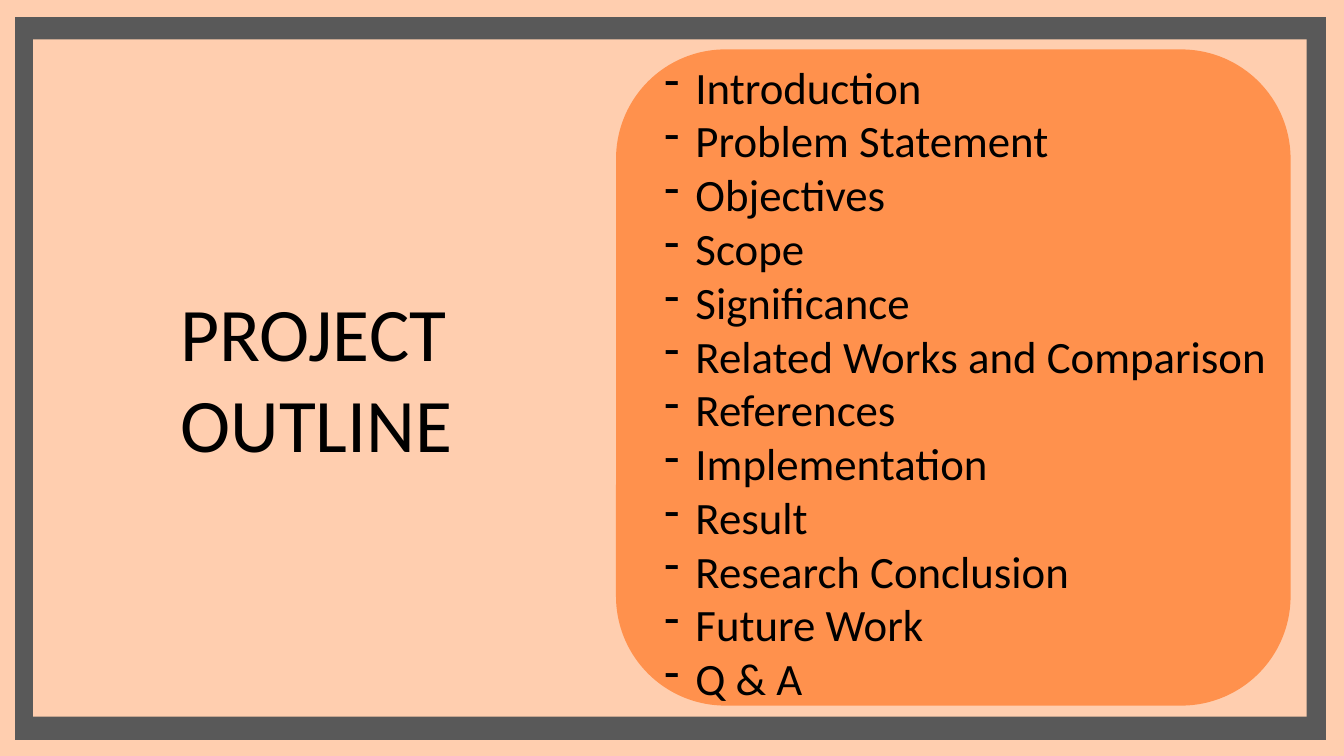
from dataclasses import dataclass

from pptx import Presentation
from pptx.dml.color import RGBColor
from pptx.enum.shapes import MSO_SHAPE
from pptx.enum.text import MSO_ANCHOR, MSO_AUTO_SIZE, PP_ALIGN
from pptx.oxml.ns import qn
from pptx.util import Inches, Pt


@dataclass(frozen=True)
class Theme:
    font: str = "Calibri"
    text: str = "000000"
    peach: str = "FFCEAF"
    frame: str = "595959"
    orange: str = "FF914D"
    title_size: int = 54
    list_size: int = 32


class OutlineSlide:
    def __init__(self, deck, theme):
        self.theme = theme
        self.page = deck.slides.add_slide(deck.slide_layouts[5])

    def panel(self, left, top, width, height, color, kind=MSO_SHAPE.RECTANGLE):
        panel = self.page.shapes.add_shape(
            kind, Inches(left), Inches(top), Inches(width), Inches(height))
        panel.shadow.inherit = False
        panel.fill.solid()
        panel.fill.fore_color.rgb = RGBColor.from_string(color)
        panel.line.fill.background()

    def set_text(self, box, lines, size):
        frame = box.text_frame
        frame.word_wrap = True
        frame.auto_size = MSO_AUTO_SIZE.SHAPE_TO_FIT_TEXT
        frame.vertical_anchor = MSO_ANCHOR.TOP
        frame.text = "\n".join(lines)
        for para in frame.paragraphs:
            para.alignment = PP_ALIGN.LEFT
            para.font.name = self.theme.font
            para.font.size = Pt(size)
            para.font.color.rgb = RGBColor.from_string(self.theme.text)

    def dash_list(self, left, top, width, height, items):
        box = self.page.shapes.add_textbox(
            Inches(left), Inches(top), Inches(width), Inches(height))
        self.set_text(box, items, self.theme.list_size)
        indent = Inches(0.31)
        for para in box.text_frame.paragraphs:
            properties = para._p.get_or_add_pPr()
            properties.set("marL", str(indent))
            properties.set("indent", str(-indent))
            bullet = properties.makeelement(qn("a:buChar"), {"char": "-"})
            properties.insert_element_before(
                bullet, "a:tabLst", "a:defRPr", "a:extLst")

    def title(self, left, top, width, height, lines):
        title = self.page.shapes.title
        title.left, title.top = Inches(left), Inches(top)
        title.width, title.height = Inches(width), Inches(height)
        self.set_text(title, lines, self.theme.title_size)
        # Bring the title in front of the panels
        title.element.getparent().append(title.element)


def main():
    deck = Presentation()
    deck.slide_width, deck.slide_height = Inches(13.33), Inches(7.5)
    theme = Theme()
    slide = OutlineSlide(deck, theme)

    # Framed background
    slide.panel(0, 0, 13.33, 7.5, theme.peach)
    slide.panel(0.15, 0.17, 13, 7.17, theme.frame)
    slide.panel(0.33, 0.39, 12.63, 6.72, theme.peach)

    # Outline topics on the rounded panel
    slide.panel(6.11, 0.49, 6.69, 6.51, theme.orange,
                MSO_SHAPE.ROUNDED_RECTANGLE)
    slide.dash_list(6.49, 0.54, 6.47, 6.56, [
        "Introduction", "Problem Statement", "Objectives", "Scope",
        "Significance", "Related Works and Comparison", "References",
        "Implementation", "Result", "Research Conclusion", "Future Work",
        "Q & A",
    ])

    # Title
    slide.title(1.69, 2.79, 3.1, 1.92, ["PROJECT", "OUTLINE"])

    deck.save("out.pptx")


if __name__ == "__main__":
    main()
